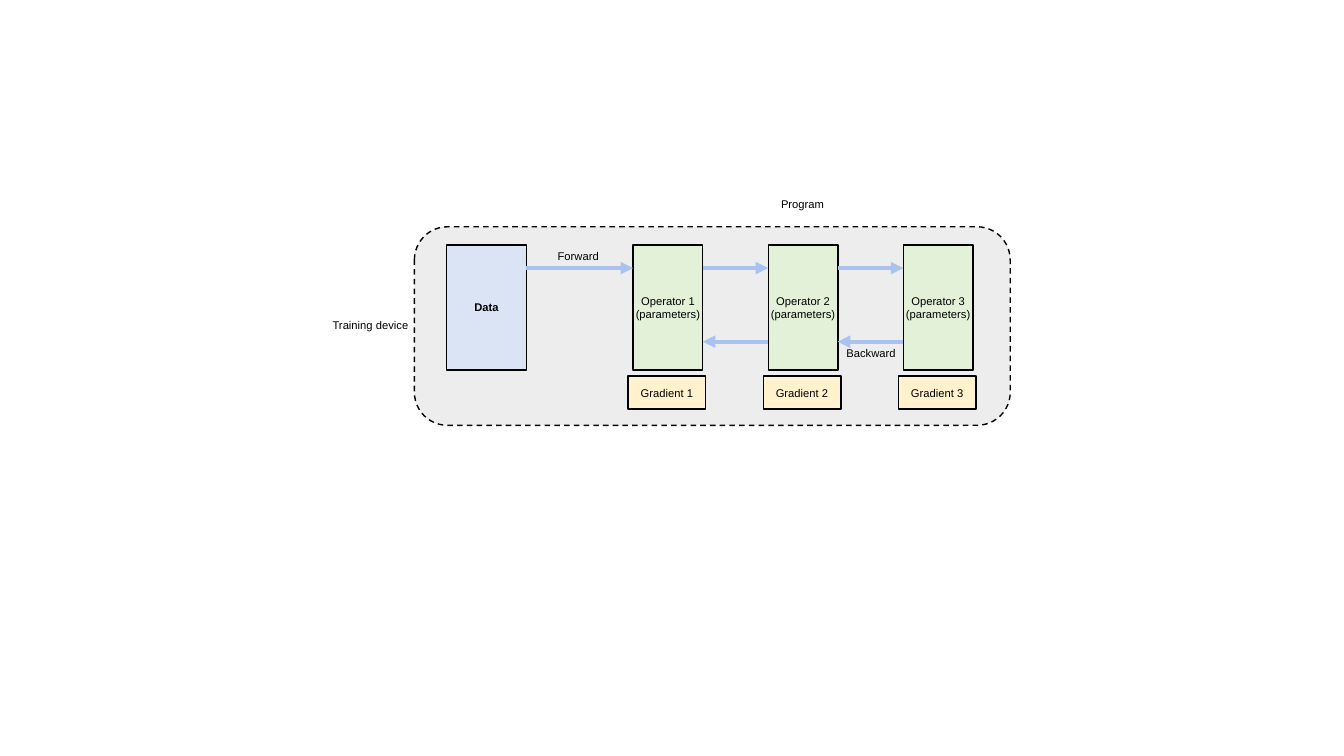
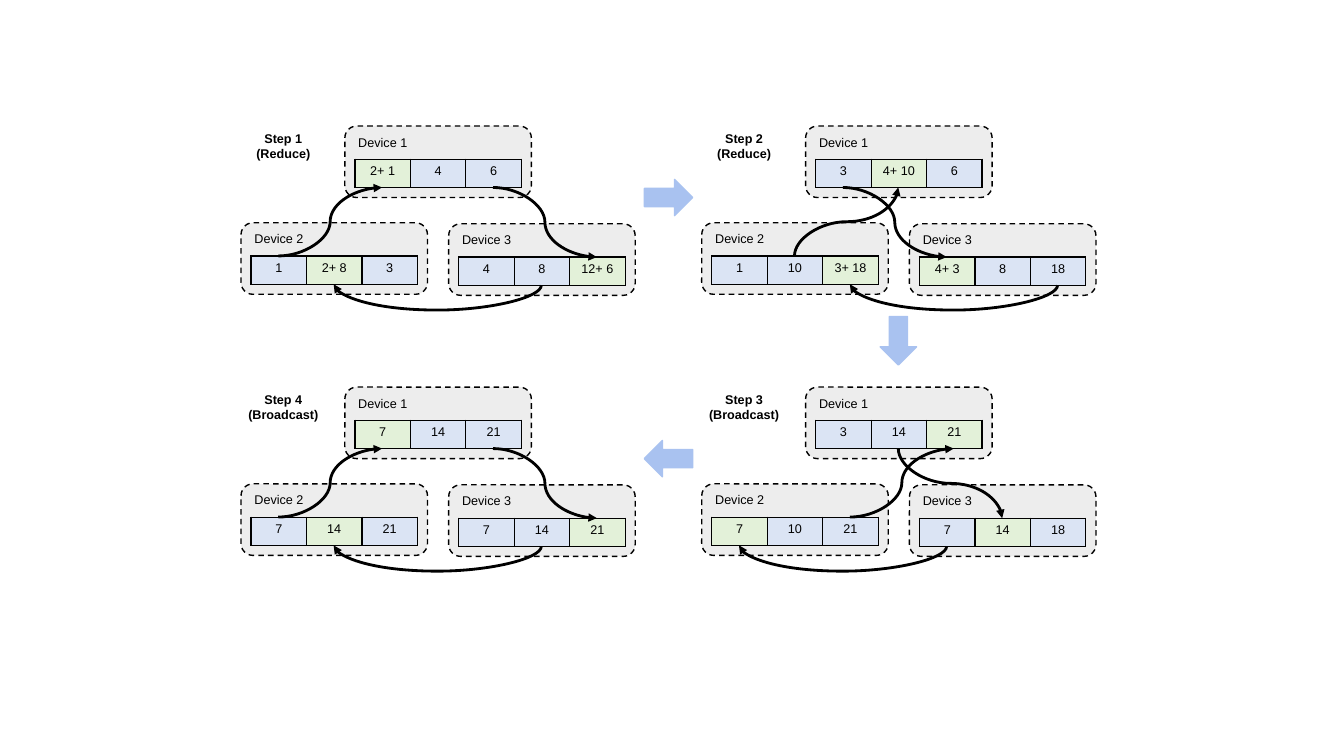
import lxml.etree
import pptx
import pptx.dml.color
import pptx.enum.dml
import pptx.enum.shapes
import pptx.enum.text
import pptx.oxml.ns
import pptx.util

RGB = pptx.dml.color.RGBColor
BLACK = RGB(0x00, 0x00, 0x00)
GRAY = RGB(0xED, 0xED, 0xED)
BLUE = RGB(0xDB, 0xE4, 0xF4)
GREEN = RGB(0xE3, 0xF1, 0xD9)
YELLOW = RGB(0xFF, 0xF2, 0xCC)
ARROW = RGB(0xA9, 0xC2, 0xF0)

SHAPE = pptx.enum.shapes.MSO_SHAPE
LINK = pptx.enum.shapes.MSO_CONNECTOR
ALIGN = pptx.enum.text.PP_ALIGN
ANCHOR = pptx.enum.text.MSO_ANCHOR
FONT = "Arial"
SCALE = 9144  # EMU in one px: 100 px to the inch

CELL_W, CELL_H = 55, 28
TABLE_X, TABLE_Y = 10, 33  # table offset inside its device
DEVICES = {1: (103, 0), 3: (206, 97), 2: (0, 96)}  # offsets inside a step
RING = ((2, 1), (1, 3), (3, 2))
SAG = 25  # how far a link below two devices hangs down

# left, top, title, first green column, values by device
STEPS = (
    (239, 125, "Step 1\n(Reduce)", 0,
     {1: ("2+ 1", "4", "6"), 2: ("1", "2+ 8", "3"), 3: ("4", "8", "12+ 6")}),
    (696, 125, "Step 2\n(Reduce)", 1,
     {1: ("3", "4+ 10", "6"), 2: ("1", "10", "3+ 18"), 3: ("4+ 3", "8", "18")}),
    (696, 384, "Step 3\n(Broadcast)", 2,
     {1: ("3", "14", "21"), 2: ("7", "10", "21"), 3: ("7", "14", "18")}),
    (239, 384, "Step 4\n(Broadcast)", 0,
     {1: ("7", "14", "21"), 2: ("7", "14", "21"), 3: ("7", "14", "21")}),
)


def px(*values):
    """Turn px into a list of EMU lengths."""
    return [pptx.util.Emu(round(value * SCALE)) for value in values]


def child(parent, tag, **attrs):
    """Append a DrawingML element."""
    return lxml.etree.SubElement(parent, pptx.oxml.ns.qn("a:" + tag), attrs)


def write(frame, text, size=8, bold=False, align=ALIGN.CENTER,
          anchor=ANCHOR.MIDDLE, side=0, wrap=True):
    frame.text = text
    frame.word_wrap = wrap
    frame.vertical_anchor = anchor
    frame.margin_left, frame.margin_right = px(side, side)
    frame.margin_top, frame.margin_bottom = px(5, 5)
    for para in frame.paragraphs:
        para.alignment = align
        for run in para.runs:
            font = run.font
            font.name, font.size, font.bold = FONT, pptx.util.Pt(size), bold
            font.color.rgb = BLACK


def label(slide, text, x, y, w, h, **style):
    box = slide.shapes.add_textbox(*px(x, y, w, h))
    write(box.text_frame, text, anchor=ANCHOR.TOP, **style)


def block(slide, kind, x, y, w, h, fill, line=BLACK, dash=False):
    shape = slide.shapes.add_shape(kind, *px(x, y, w, h))
    shape.shadow.inherit = False
    shape.fill.solid()
    shape.fill.fore_color.rgb = fill
    shape.line.color.rgb = line
    shape.line.width = pptx.util.Pt(1)
    if dash:
        shape.line.dash_style = pptx.enum.dml.MSO_LINE.DASH
    return shape


def box(slide, text, x, y, w, h, fill, **style):
    shape = block(slide, SHAPE.RECTANGLE, x, y, w, h, fill)
    write(shape.text_frame, text, **style)


def arrow(slide, kind, x1, y1, x2, y2, color, width):
    line = slide.shapes.add_connector(kind, *px(x1, y1, x2, y2))
    line.line.color.rgb = color
    line.line.width = pptx.util.Pt(width)
    child(line.line._get_or_add_ln(), "tailEnd", type="triangle")
    child(line._element.spPr, "effectLst")
    return line


def curve(slide, x1, y1, x2, y2, upright=False, sag=0):
    """Draw a curved link; an upright one leaves its start up or down."""
    if upright:
        mid_x, mid_y = (x1 + x2) / 2, (y1 + y2) / 2
        half_x, half_y = (x1 - x2) / 2, (y1 - y2) / 2
        run = abs(y1 - y2)
        x1, y1 = mid_x + half_y, mid_y - half_x
        x2, y2 = mid_x - half_y, mid_y + half_x
    line = arrow(slide, LINK.CURVE, x1, y1, x2, y2, BLACK, 2)
    props = line._element.spPr
    if upright:
        props.find(pptx.oxml.ns.qn("a:xfrm")).set("rot", "5400000")
    if sag:
        bend = round(-sag / run * 100000)
        guides = props.find(".//" + pptx.oxml.ns.qn("a:avLst"))
        child(guides, "gd", name="adj1", fmla=f"val {bend}")


def edge(cell):
    """Give a table cell a thin black frame."""
    props = cell._tc.get_or_add_tcPr()
    for side in ("lnL", "lnR", "lnT", "lnB"):
        line = child(props, side, w="12700")
        child(child(line, "solidFill"), "srgbClr", val=str(BLACK))


def device(slide, num, x, y, values, hot):
    """Draw a device and its row of values, with column hot in green."""
    frame = block(slide, SHAPE.ROUNDED_RECTANGLE, x, y, 185, 71, GRAY, dash=True)
    write(frame.text_frame, f"Device {num}", size=9, align=ALIGN.LEFT,
          anchor=ANCHOR.TOP, side=10)
    count = len(values)
    table = slide.shapes.add_table(
        1, count, *px(x + TABLE_X, y + TABLE_Y, count * CELL_W, CELL_H)).table
    table.first_row = table.horz_banding = False
    for col, value in enumerate(values):
        table.columns[col].width = px(CELL_W)[0]
        cell = table.cell(0, col)
        write(cell.text_frame, value, size=9)
        cell.margin_left, cell.margin_right = px(5, 5)
        cell.margin_top, cell.margin_bottom = px(5, 5)
        cell.vertical_anchor = ANCHOR.TOP
        edge(cell)
        cell.fill.solid()
        cell.fill.fore_color.rgb = GREEN if col == hot else BLUE


def step(slide, x, y, title, first, rows):
    hot = {num: (first + num - 1) % 3 for num in DEVICES}
    for num, (dx, dy) in DEVICES.items():
        device(slide, num, x + dx, y + dy, rows[num], hot[num])
    label(slide, title, x - 3, y, 90, 40, size=9, bold=True, side=10, wrap=False)
    for start, end in RING:
        col = hot[end]

        def port(num, low):
            dx, dy = DEVICES[num]
            return (x + dx + TABLE_X + col * CELL_W + CELL_W // 2,
                    y + dy + TABLE_Y + (CELL_H if low else 0))

        below = (start, end) == (3, 2)
        curve(slide, *port(start, below or start == 1),
              *port(end, below or end == 1),
              upright=below or col == 1, sag=SAG if below else 0)


def train(slide):
    """Draw one training device with its forward and backward passes."""
    label(slide, "Training device", 328, 311, 79, 24)
    block(slide, SHAPE.ROUNDED_RECTANGLE, 411, 225, 591, 197, GRAY, dash=True)
    box(slide, "Data", 443, 243, 79, 124, BLUE, bold=True)
    names = ("Operator 1 (parameters)", "Operator 2\n(parameters)",
             "Operator 3 (parameters)")
    right = 522
    for num, name in enumerate(names):
        left = 628 + num * 134
        box(slide, name, left, 243, 69, 124, GREEN)
        box(slide, f"Gradient {num + 1}", left - 5, 373, 77, 33, YELLOW)
        arrow(slide, LINK.STRAIGHT, right, 266, left, 266, ARROW, 3)
        if num:
            arrow(slide, LINK.STRAIGHT, left, 339, right, 339, ARROW, 3)
        right = left + 69
    label(slide, "Forward", 543, 242, 61, 24)
    label(slide, "Backward", 836, 339, 56, 24)
    label(slide, "Program", 737, 191, 118, 24)


def reduce(slide):
    """Draw the four steps of the ring and the arrows between them."""
    for parts in STEPS:
        step(slide, *parts)
    for x, y, turn in ((639, 178, 0), (867, 320, 90), (639, 437, 180)):
        block(slide, SHAPE.RIGHT_ARROW, x, y, 48, 36, ARROW, ARROW).rotation = turn


def main():
    deck = pptx.Presentation()
    deck.slide_width, deck.slide_height = px(1333, 750)
    for draw in (train, reduce):
        draw(deck.slides.add_slide(deck.slide_layouts[6]))
    deck.save("out.pptx")


if __name__ == "__main__":
    main()
